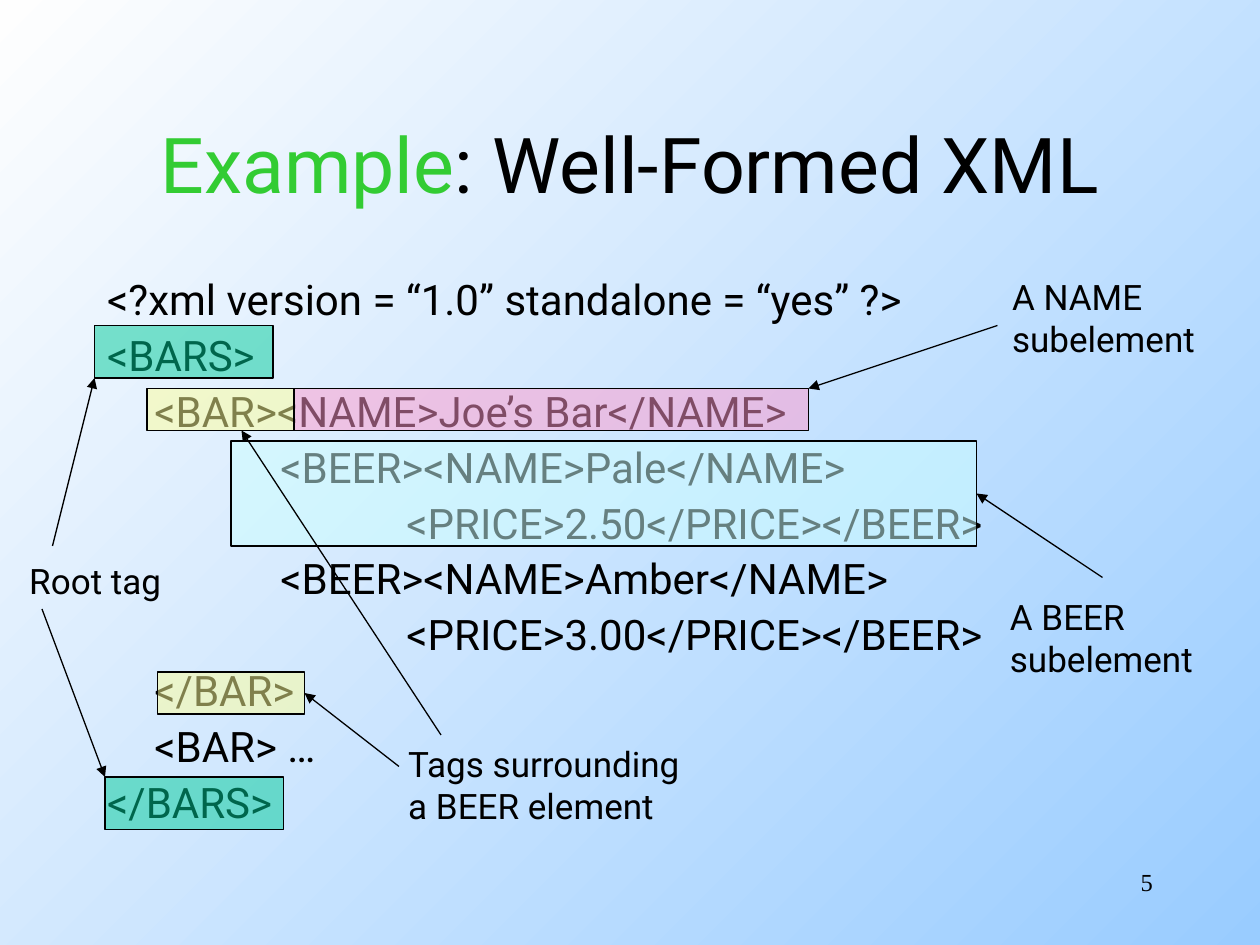
import pptx
import pptx.dml.color
import pptx.enum.dml
import pptx.enum.shapes
import pptx.enum.text
import pptx.oxml.ns
import pptx.util
from dataclasses import dataclass
from lxml import etree

EMU_PER_PX = 7620  # 120 px to the inch
PX_PER_TAB = 120
ALIGN = pptx.enum.text.PP_ALIGN
ANCHOR = pptx.enum.text.MSO_ANCHOR
AUTO_SIZE = pptx.enum.text.MSO_AUTO_SIZE


@dataclass(frozen=True)
class Theme:
    font: str = "Roboto"
    number_font: str = "Times New Roman"
    ink: str = "000000"
    accent: str = "33CC33"
    sky: str = "99CCFF"
    white: str = "FEFEFE"
    name_fill: str = "FF99CC"
    beer_fill: str = "CCFFFF"
    root_fill: str = "00CC99"
    bar_fill: str = "FFFF99"
    title_size: int = 44
    code_size: int = 24
    label_size: int = 20
    number_size: int = 14
    line_width: float = 0.75
    opacity: int = 50


THEME = Theme()

CODE_LINES = [
    "<?xml version = “1.0” standalone = “yes” ?>",
    "<BARS>",
    "\t<BAR><NAME>Joe’s Bar</NAME>",
    "\t\t<BEER><NAME>Pale</NAME>",
    "\t\t\t<PRICE>2.50</PRICE></BEER>",
    "\t\t<BEER><NAME>Amber</NAME>",
    "\t\t\t<PRICE>3.00</PRICE></BEER>",
    "\t</BAR>",
    "\t<BAR> …",
    "</BARS>",
]

# Boxes are left, top, width, height; arrows run from the label to the box.
CALLOUTS = [
    dict(fill=THEME.name_fill, boxes=[(280, 370, 490, 40)],
         lines=["A NAME", "subelement"], label_box=(952, 256, 210, 92),
         arrows=[(950, 310, 770, 370)]),
    dict(fill=THEME.beer_fill, boxes=[(220, 420, 710, 100)],
         lines=["A BEER", "subelement"], label_box=(950, 561, 210, 92),
         arrows=[(1050, 550, 930, 470)]),
    dict(fill=THEME.root_fill, boxes=[(90, 310, 170, 50), (100, 740, 170, 50)],
         lines=["Root tag"], label_box=(16, 527, 157, 53),
         arrows=[(50, 520, 90, 360), (40, 580, 100, 740)]),
    dict(fill=THEME.bar_fill, boxes=[(140, 370, 140, 40), (150, 640, 140, 40)],
         lines=["Tags surrounding", "a BEER element"], label_box=(377, 701, 302, 92),
         arrows=[(420, 700, 230, 410), (380, 730, 290, 660)]),
]


def px(*lengths):
    return [pptx.util.Emu(length * EMU_PER_PX) for length in lengths]


def rgb(color):
    return pptx.dml.color.RGBColor.from_string(color)


def add_child(parent, tag, **attributes):
    return etree.SubElement(parent, pptx.oxml.ns.qn(tag), attributes)


def place(shape, box):
    shape.left, shape.top, shape.width, shape.height = px(*box)


def set_code_indent(paragraph):
    """Hanging indent without a bullet, and a tab stop at every inch."""
    properties = paragraph._p.get_or_add_pPr()
    hang, tab_step = px(45, PX_PER_TAB)
    properties.set("marL", str(hang))
    properties.set("indent", str(-hang))
    properties.set("defTabSz", str(tab_step))
    add_child(properties, "a:buNone")
    tabs = add_child(properties, "a:tabLst")
    for index in range(8):
        add_child(tabs, "a:tab", pos=str(index * tab_step), algn="l")


def write_text(shape, paragraphs, *, size, font=THEME.font, align=ALIGN.LEFT,
               anchor=ANCHOR.TOP, wrap=True, fit=AUTO_SIZE.NONE,
               line_spacing=None, space_before=0, code=False):
    """Each paragraph is a list of (text, color) runs."""
    frame = shape.text_frame
    frame.word_wrap = wrap
    frame.auto_size = fit
    frame.vertical_anchor = anchor
    for index, runs in enumerate(paragraphs):
        paragraph = frame.add_paragraph() if index else frame.paragraphs[0]
        if code:
            set_code_indent(paragraph)
        paragraph.alignment = align
        paragraph.line_spacing = line_spacing
        paragraph.space_before = pptx.util.Pt(space_before if index else 0)
        for text, color in runs:
            run = paragraph.add_run()
            run.text = text
            run.font.name = font
            run.font.size = pptx.util.Pt(size)
            run.font.color.rgb = rgb(color)


def plain(lines):
    return [[(line, THEME.ink)] for line in lines]


def set_background(slide):
    fill = slide.background.fill
    fill.gradient()
    fill.gradient_angle = 135
    for stop, color in zip(fill.gradient_stops, (THEME.sky, THEME.white)):
        stop.color.rgb = rgb(color)


def add_highlight(shapes, box, color):
    shape = shapes.add_shape(pptx.enum.shapes.MSO_SHAPE.RECTANGLE, *px(*box))
    shape.shadow.inherit = False
    shape.fill.solid()
    shape.fill.fore_color.rgb = rgb(color)
    fill_color = shape._element.spPr.find(".//" + pptx.oxml.ns.qn("a:srgbClr"))
    add_child(fill_color, "a:alpha", val=str(THEME.opacity * 1000))
    shape.line.color.rgb = rgb(THEME.ink)
    shape.line.width = pptx.util.Pt(THEME.line_width)


def add_arrow(shapes, ends):
    arrow = shapes.add_connector(pptx.enum.shapes.MSO_CONNECTOR.STRAIGHT, *px(*ends))
    arrow.line.color.rgb = rgb(THEME.ink)
    arrow.line.width = pptx.util.Pt(THEME.line_width)
    add_child(arrow.line._get_or_add_ln(), "a:tailEnd", type="triangle")
    add_child(arrow._element.spPr, "a:effectLst")


def add_callout(slide, fill, boxes, lines, label_box, arrows):
    shapes = slide.shapes.add_group_shape().shapes
    for box in boxes:
        add_highlight(shapes, box, fill)
    label = shapes.add_textbox(*px(*label_box))
    write_text(label, plain(lines), size=THEME.label_size, wrap=False,
               fit=AUTO_SIZE.SHAPE_TO_FIT_TEXT)
    for ends in arrows:
        add_arrow(shapes, ends)


def main():
    presentation = pptx.Presentation()
    presentation.slide_width, presentation.slide_height = px(1200, 900)
    slide = presentation.slides.add_slide(presentation.slide_layouts[1])
    set_background(slide)

    # Title and code listing
    title, body = slide.shapes.title, slide.placeholders[1]
    place(title, (90, 80, 1020, 150))
    write_text(title, [[("Example", THEME.accent), (": Well-Formed XML", THEME.ink)]],
               size=THEME.title_size, align=ALIGN.CENTER, anchor=ANCHOR.MIDDLE)
    place(body, (90, 260, 1020, 540))
    write_text(body, plain(CODE_LINES), size=THEME.code_size,
               line_spacing=0.9, space_before=6, code=True)

    # Highlights with their labels and arrows
    for callout in CALLOUTS:
        add_callout(slide, **callout)

    # Page number
    number = slide.shapes.add_textbox(*px(860, 820, 250, 60))
    write_text(number, plain(["5"]), size=THEME.number_size,
               font=THEME.number_font, align=ALIGN.RIGHT)

    presentation.save("out.pptx")


if __name__ == "__main__":
    main()
